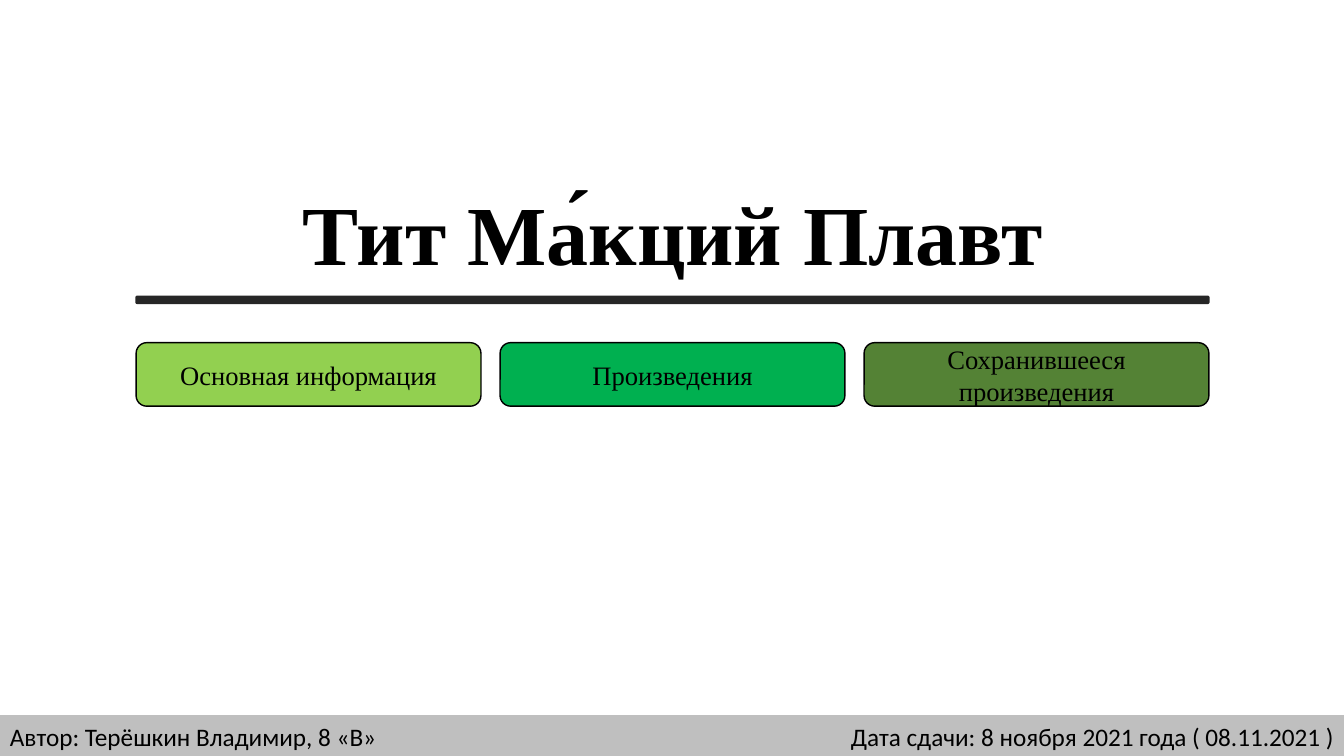
from pptx import Presentation
from pptx.dml.color import RGBColor
from pptx.enum.shapes import MSO_SHAPE as Shape
from pptx.enum.text import MSO_ANCHOR as Anchor, PP_ALIGN as Align
from pptx.util import Inches, Pt

# Content
TITLE = "Тит Ма́кций Плавт"
BUTTONS = [
    ("Основная информация", "lime"),
    ("Произведения", "green"),
    ("Сохранившееся произведения", "olive"),
]
FOOTER = [
    ("Автор: Терёшкин Владимир, 8 «В»", Align.LEFT),
    ("Дата сдачи: 8 ноября 2021 года ( 08.11.2021 )", Align.RIGHT),
]

# Formats
COLORS = {
    "text": "000000", "rule": "262626", "footer": "BFBFBF",
    "lime": "92D050", "green": "00B050", "olive": "548235",
}
TITLE_FONT = {"name": "Times New Roman", "size": Pt(60), "bold": True}
BUTTON_FONT = {"name": "Times New Roman", "size": Pt(19)}
FOOTER_FONT = {"name": "Calibri", "size": Pt(18)}

# Layout in inches
SLIDE_W, SLIDE_H = 13.33, 7.5
LEFT, CONTENT_W = 1.35, 10.64
BUTTON_W = 3.42
BUTTON_STEP = (CONTENT_W - BUTTON_W) / (len(BUTTONS) - 1)
FOOTER_W = SLIDE_W / len(FOOTER)


def rgb(name):
    return RGBColor.from_string(COLORS[name])


def write(box, text, font, align=Align.CENTER, anchor=Anchor.MIDDLE):
    frame = box.text_frame
    frame.word_wrap = True
    frame.vertical_anchor = anchor
    line = frame.paragraphs[0]
    line.alignment = align
    run = line.add_run()
    run.text = text
    for key, value in font.items():
        setattr(run.font, key, value)
    run.font.color.rgb = rgb("text")
    return line


def add_block(slide, kind, place, fill, outline):
    block = slide.shapes.add_shape(kind, *map(Inches, place))
    block.shadow.inherit = False
    block.fill.solid()
    block.fill.fore_color.rgb = rgb(fill)
    block.line.color.rgb = rgb(outline)
    block.line.width = Pt(1)
    return block


def main():
    deck = Presentation()
    deck.slide_width, deck.slide_height = Inches(SLIDE_W), Inches(SLIDE_H)
    slide = deck.slides.add_slide(deck.slide_layouts[6])

    # Title and the rule below it
    title = slide.shapes.add_textbox(*map(Inches, (LEFT, 1.73, CONTENT_W, 1.13)))
    write(title, TITLE, TITLE_FONT, anchor=Anchor.BOTTOM).line_spacing = 0.9
    add_block(slide, Shape.ROUNDED_RECTANGLE, (LEFT, 2.94, CONTENT_W, 0.07),
              "rule", "rule")

    # Section buttons
    for i, (label, color) in enumerate(BUTTONS):
        place = (LEFT + i * BUTTON_STEP, 3.4, BUTTON_W, 0.63)
        button = add_block(slide, Shape.ROUNDED_RECTANGLE, place, color, "text")
        write(button, label, BUTTON_FONT)

    # Footer halves
    for i, (note, align) in enumerate(FOOTER):
        place = (i * FOOTER_W, 7.1, FOOTER_W, 0.42)
        half = add_block(slide, Shape.RECTANGLE, place, "footer", "footer")
        write(half, note, FOOTER_FONT, align)

    deck.save("out.pptx")


if __name__ == "__main__":
    main()
